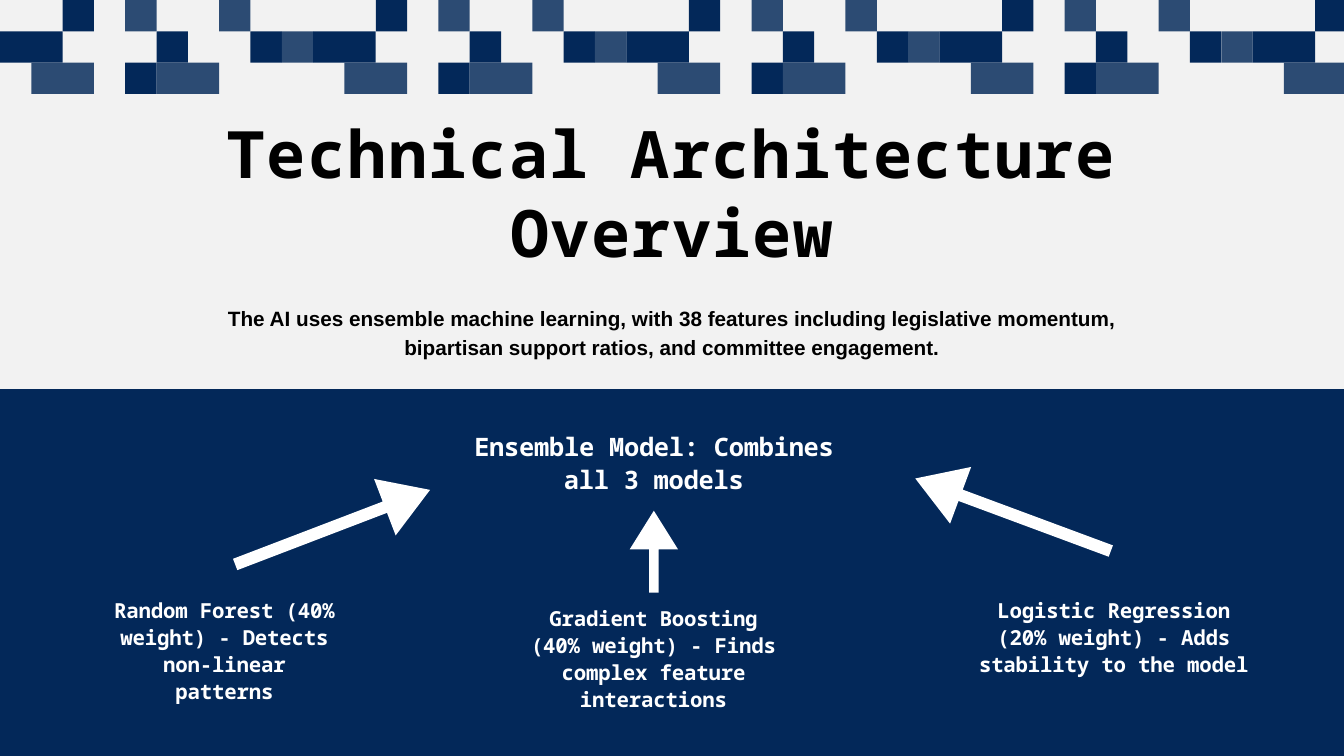
from math import hypot

from pptx import Presentation
from pptx.dml.color import RGBColor
from pptx.enum.shapes import MSO_SHAPE
from pptx.enum.text import MSO_AUTO_SIZE, PP_ALIGN
from pptx.util import Inches, Pt

NAVY = RGBColor(0x03, 0x28, 0x59)
STEEL = RGBColor(0x2C, 0x4B, 0x73)
PALE = RGBColor(0xF2, 0xF2, 0xF2)
WHITE = RGBColor(0xFF, 0xFF, 0xFF)
BLACK = RGBColor(0x00, 0x00, 0x00)

SLIDE_WIDTH = 20
SLIDE_HEIGHT = 11.25
TILE_COLUMNS = 10
TILE_WIDTH = 4.66
CELL = TILE_WIDTH / TILE_COLUMNS
MOSAIC_COLUMNS = 43
MOSAIC_TILE = [
    (0, 2, 1, NAVY),
    (0, 4, 1, STEEL),
    (0, 7, 1, STEEL),
    (1, 0, 2, NAVY),
    (1, 5, 1, NAVY),
    (1, 8, 1, NAVY),
    (1, 9, 1, STEEL),
    (2, 1, 2, STEEL),
    (2, 4, 1, NAVY),
    (2, 5, 2, STEEL),
]
ARROWS = [
    ((3.5, 8.4), (6.4, 7.29), 0.9),
    ((16.53, 8.2), (13.62, 7.12), 0.9),
    ((9.73, 8.82), (9.73, 7.6), 0.72),
]
MODELS = [
    ("Random Forest (40% weight) - Detects non-linear patterns", 1.65, 8.87, 3.38, 1.56),
    ("Gradient Boosting (40% weight) - Finds complex feature interactions", 7.86, 8.99, 3.73, 1.56),
    ("Logistic Regression (20% weight) - Adds stability to the model", 14.53, 8.87, 4.09, 1.17),
]


class SlideBuilder:
    """Hold the text style and the current slide, and draw its elements."""

    heading_font = "Noto Sans Mono"
    body_font = "Arial"

    def __init__(self, slide):
        self.slide = slide
        slide.background.fill.solid()
        slide.background.fill.fore_color.rgb = PALE

    def paint(self, shape, color):
        shape.shadow.inherit = False
        shape.fill.solid()
        shape.fill.fore_color.rgb = color
        shape.line.fill.background()

    def rectangle(self, shapes, left, top, width, height, color):
        box = [Inches(length) for length in (left, top, width, height)]
        self.paint(shapes.add_shape(MSO_SHAPE.RECTANGLE, *box), color)

    def mosaic(self):
        group = self.slide.shapes.add_group_shape()
        for first_column in range(0, MOSAIC_COLUMNS, TILE_COLUMNS):
            for row, column, span, color in MOSAIC_TILE:
                start = first_column + column
                if start < MOSAIC_COLUMNS:
                    self.rectangle(group.shapes, start * CELL, row * CELL, span * CELL, CELL, color)

    def arrow(self, tail, tip, width):
        length = hypot(tip[0] - tail[0], tip[1] - tail[1])
        along_x = (tip[0] - tail[0]) / length
        along_y = (tip[1] - tail[1]) / length
        neck = length - 0.8 * width
        half_head = width / 2
        half_shaft = width / 10
        outline = [
            (length, 0), (neck, half_head), (neck, half_shaft), (0, half_shaft),
            (0, -half_shaft), (neck, -half_shaft), (neck, -half_head),
        ]
        points = [
            (
                Inches(tail[0] + along * along_x - across * along_y),
                Inches(tail[1] + along * along_y + across * along_x),
            )
            for along, across in outline
        ]
        builder = self.slide.shapes.build_freeform(*points[0])
        builder.add_line_segments(points[1:], close=True)
        self.paint(builder.convert_to_shape(), WHITE)

    def text(self, wording, left, top, width, height, size, line_height,
             color=WHITE, font_name=heading_font, spacing=0):
        box = [Inches(length) for length in (left, top, width, height)]
        frame = self.slide.shapes.add_textbox(*box).text_frame
        frame.word_wrap = True
        frame.auto_size = MSO_AUTO_SIZE.SHAPE_TO_FIT_TEXT
        frame.margin_left = frame.margin_right = 0
        frame.margin_top = frame.margin_bottom = 0
        paragraph = frame.paragraphs[0]
        paragraph.alignment = PP_ALIGN.CENTER
        paragraph.line_spacing = Pt(line_height)
        paragraph.font.name = font_name
        paragraph.font.size = Pt(size)
        paragraph.font.bold = True
        paragraph.font.color.rgb = color
        run = paragraph.add_run()
        run.text = wording
        if spacing:
            run._r.get_or_add_rPr().set("spc", str(round(spacing * 100)))


def main():
    presentation = Presentation()
    presentation.slide_width = Inches(SLIDE_WIDTH)
    presentation.slide_height = Inches(SLIDE_HEIGHT)
    slide = presentation.slides.add_slide(presentation.slide_layouts[6])
    builder = SlideBuilder(slide)

    builder.mosaic()
    builder.rectangle(slide.shapes, 0, 5.79, SLIDE_WIDTH, SLIDE_HEIGHT - 5.79, NAVY)
    for tail, tip, width in ARROWS:
        builder.arrow(tail, tip, width)

    builder.text("Technical Architecture Overview", 1.12, 1.69, 17.75, 2.31,
                 70, 84, color=BLACK, spacing=1.4)
    builder.text(
        "The AI uses ensemble machine learning, with 38 features including legislative "
        "momentum, bipartisan support ratios, and committee engagement.",
        2.62, 4.49, 14.76, 0.84, 22.2, 31.1, color=BLACK, font_name=builder.body_font)
    for wording, *box in MODELS:
        builder.text(wording, *box, 22.2, 28.9, spacing=-0.2)
    builder.text("Ensemble Model: Combines all 3 models", 6.66, 6.37, 6.14, 0.97,
                 27.2, 35.4, spacing=-0.3)

    presentation.save("out.pptx")


if __name__ == "__main__":
    main()
